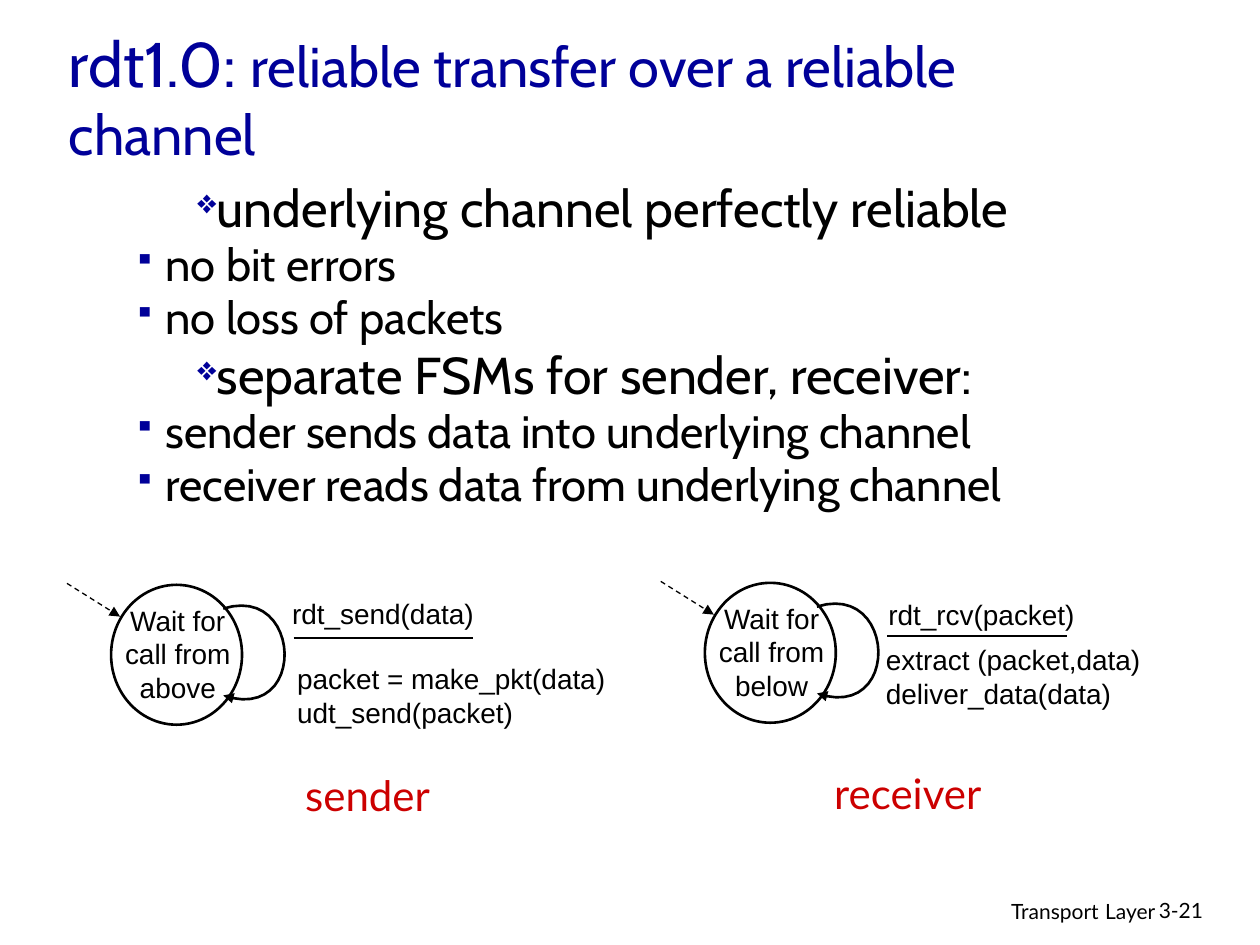
import pptx
import pptx.dml.color
import pptx.enum.dml
import pptx.enum.shapes
import pptx.enum.text
import pptx.oxml
import pptx.oxml.ns
import pptx.util
from lxml import etree

Cm = pptx.util.Cm
Pt = pptx.util.Pt
qn = pptx.oxml.ns.qn
ALIGN = pptx.enum.text.PP_ALIGN
NAVY = pptx.dml.color.RGBColor(0x00, 0x00, 0x99)
RED = pptx.dml.color.RGBColor(0xCC, 0x00, 0x00)
BLACK = pptx.dml.color.RGBColor(0x00, 0x00, 0x00)
WHITE = pptx.dml.color.RGBColor(0xFF, 0xFF, 0xFF)


def style_font(font, face, size, color):
    """Set the face, point size and colour of a font."""
    font.name = face
    font.size = Pt(size)
    font.color.rgb = color


def add_text(slide, box, text, face, size, color=BLACK, align=ALIGN.LEFT):
    """Place wrapped text in a box given in centimetres and return its frame."""
    frame = slide.shapes.add_textbox(*map(Cm, box)).text_frame
    frame.word_wrap = True
    frame.text = text
    for paragraph in frame.paragraphs:
        paragraph.alignment = align
        for run in paragraph.runs:
            style_font(run.font, face, size, color)
    return frame


def style_line(shape, width, arrow=False):
    """Give a shape a black outline, optionally ending in an arrowhead."""
    shape.line.color.rgb = BLACK
    shape.line.width = Pt(width)
    if arrow:
        outline = shape.element.spPr.find(qn("a:ln"))
        etree.SubElement(outline, qn("a:tailEnd"), type="triangle")


def add_line(slide, start, end, width, dashed_arrow=False):
    """Draw a straight line between two points in centimetres."""
    line = slide.shapes.add_connector(
        pptx.enum.shapes.MSO_CONNECTOR.STRAIGHT, *map(Cm, start + end))
    if dashed_arrow:
        line.line.dash_style = pptx.enum.dml.MSO_LINE.DASH
    style_line(line, width, dashed_arrow)
    etree.SubElement(line.element.spPr, qn("a:effectLst"))


def add_title(slide, box):
    """Place the two-size title in its box."""
    frame = add_text(slide, box, "rdt1.0: ", "Cabin", 36, NAVY)
    frame.vertical_anchor = pptx.enum.text.MSO_ANCHOR.MIDDLE
    subject = frame.paragraphs[0].add_run()
    subject.text = "reliable transfer over a reliable channel"
    style_font(subject.font, "Cabin", 32, NAVY)


def add_bullet(paragraph, mark, margin, indent):
    """Put a navy bullet and its indents on a paragraph."""
    properties = paragraph._p.get_or_add_pPr()
    properties.set("marL", str(Cm(margin)))
    properties.set("indent", str(Cm(indent)))
    color = etree.SubElement(properties, qn("a:buClr"))
    etree.SubElement(color, qn("a:srgbClr"), val=str(NAVY))
    etree.SubElement(properties, qn("a:buSzPct"), val="65000")
    etree.SubElement(properties, qn("a:buChar"), char=mark)


def add_points(slide, box, groups):
    """List each heading with its details below it."""
    items = []
    for heading, details in groups:
        items.append((heading, 0))
        items += [(detail, 1) for detail in details]
    frame = add_text(slide, box, "\n".join(text for text, _ in items), "Cabin", 29.6)
    levels = [("❖", 0.95, 1.59, 29.6, 8), ("▪", 1.9, -0.64, 25.9, 7)]
    for index, (paragraph, (_, level)) in enumerate(zip(frame.paragraphs, items)):
        mark, margin, indent, size, gap = levels[level]
        add_bullet(paragraph, mark, margin, indent)
        paragraph.level = level
        paragraph.line_spacing = 0.75
        if index:
            paragraph.space_before = Pt(gap)
        paragraph.runs[0].font.size = Pt(size)


def add_loop(slide, points):
    """Draw an arrow along the cubic curve through four control points."""
    steps = 24
    curve = []
    for step in range(steps + 1):
        t = step / steps
        weights = ((1 - t) ** 3, 3 * t * (1 - t) ** 2, 3 * t * t * (1 - t), t ** 3)
        curve.append(tuple(
            Cm(sum(w * p[axis] for w, p in zip(weights, points))) for axis in (0, 1)))
    builder = slide.shapes.build_freeform(*curve[0])
    builder.add_line_segments(curve[1:], close=False)
    loop = builder.convert_to_shape()
    loop.shadow.inherit = False
    loop.fill.background()
    style_line(loop, 1.5, arrow=True)


def add_machine(slide, left, top, state, event, event_at, actions, actions_at,
                role, role_left):
    """Draw a one-state machine with its transition and role."""
    def at(x, y):
        return left + x, top + y

    circle = slide.shapes.add_shape(
        pptx.enum.shapes.MSO_SHAPE.OVAL, *map(Cm, at(0.89, 0.03) + (2.64, 2.82)))
    circle.shadow.inherit = False
    circle.fill.solid()
    circle.fill.fore_color.rgb = WHITE
    style_line(circle, 1.5)
    add_text(slide, at(0.71, 0.28) + (3.05, 2.54), state, "Arial", 16,
             align=ALIGN.CENTER)
    add_loop(slide, [at(3.15, 0.51), at(4.75, 0), at(4.85, 2.84), at(3.15, 2.26)])
    add_line(slide, at(0, 0), at(1.07, 0.67), 0.75, dashed_arrow=True)
    add_text(slide, at(*event_at) + (6.2, 0.94), event, "Arial", 16)
    add_line(slide, at(4.57, 1.1), at(8.18, 1.1), 1.5)
    add_text(slide, at(*actions_at) + (7.2, 1.65), actions, "Arial", 16)
    add_text(slide, at(role_left, 3.63) + (3.6, 1.27), role, "Lato", 24, RED,
             ALIGN.CENTER)


def add_footer(slide, left, top):
    """Place the chapter name and the page number."""
    frame = add_text(slide, (left, top, 8.05, 0.79), "Transport", "Lato", 12,
                     align=ALIGN.RIGHT)
    for text, size in ((" ", 14), ("Layer", 12)):
        run = frame.paragraphs[0].add_run()
        run.text = text
        style_font(run.font, "Lato", size, BLACK)
    add_text(slide, (left + 7.62, top + 0.05, 1.88, 0.76), "3-21", "Lato", 12)


def main():
    """Build and save the slide."""
    deck = pptx.Presentation()
    deck.slide_width, deck.slide_height = Cm(25.4), Cm(19.05)
    slide = deck.slides.add_slide(deck.slide_layouts[6])
    add_footer(slide, 15.49, 17.91)
    add_title(slide, (1.14, 0.53, 22.23, 2.79))
    add_points(slide, (1.19, 3.71, 21.95, 8.38), [
        ("underlying channel perfectly reliable",
         ["no bit errors", "no loss of packets"]),
        ("separate FSMs for sender, receiver:",
         ["sender sends data into underlying channel",
          "receiver reads data from underlying channel"]),
    ])
    add_machine(slide, 1.35, 11.76, "Wait for call from above",
                "rdt_send(data)", (4.29, 0.15),
                "packet = make_pkt(data)\nudt_send(packet)", (4.39, 1.45),
                "sender", 4.26)
    add_machine(slide, 13.32, 11.72, "Wait for call from below",
                "rdt_rcv(packet)", (4.34, 0.2),
                "extract (packet,data)\ndeliver_data(data)", (4.29, 1.11),
                "receiver", 3.18)
    deck.save("out.pptx")


if __name__ == "__main__":
    main()
